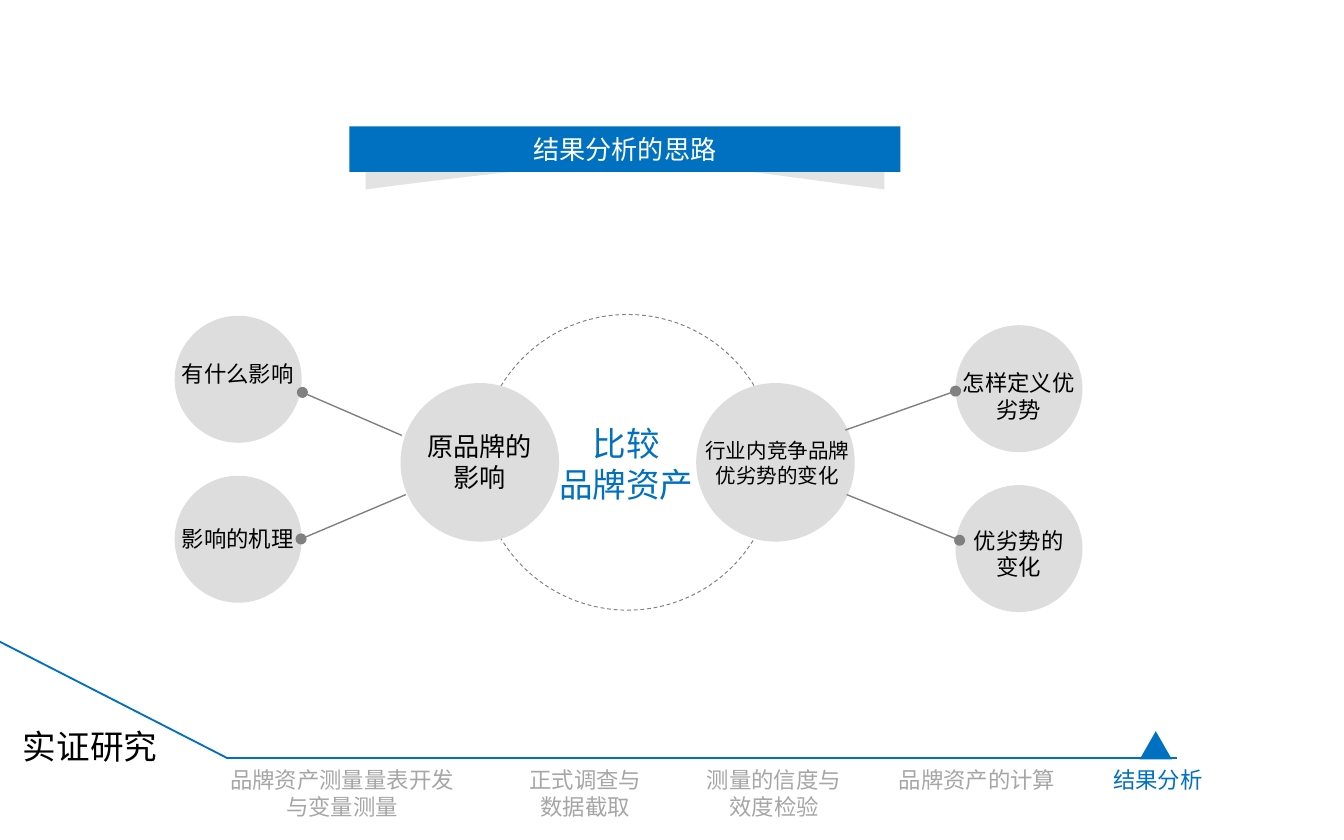
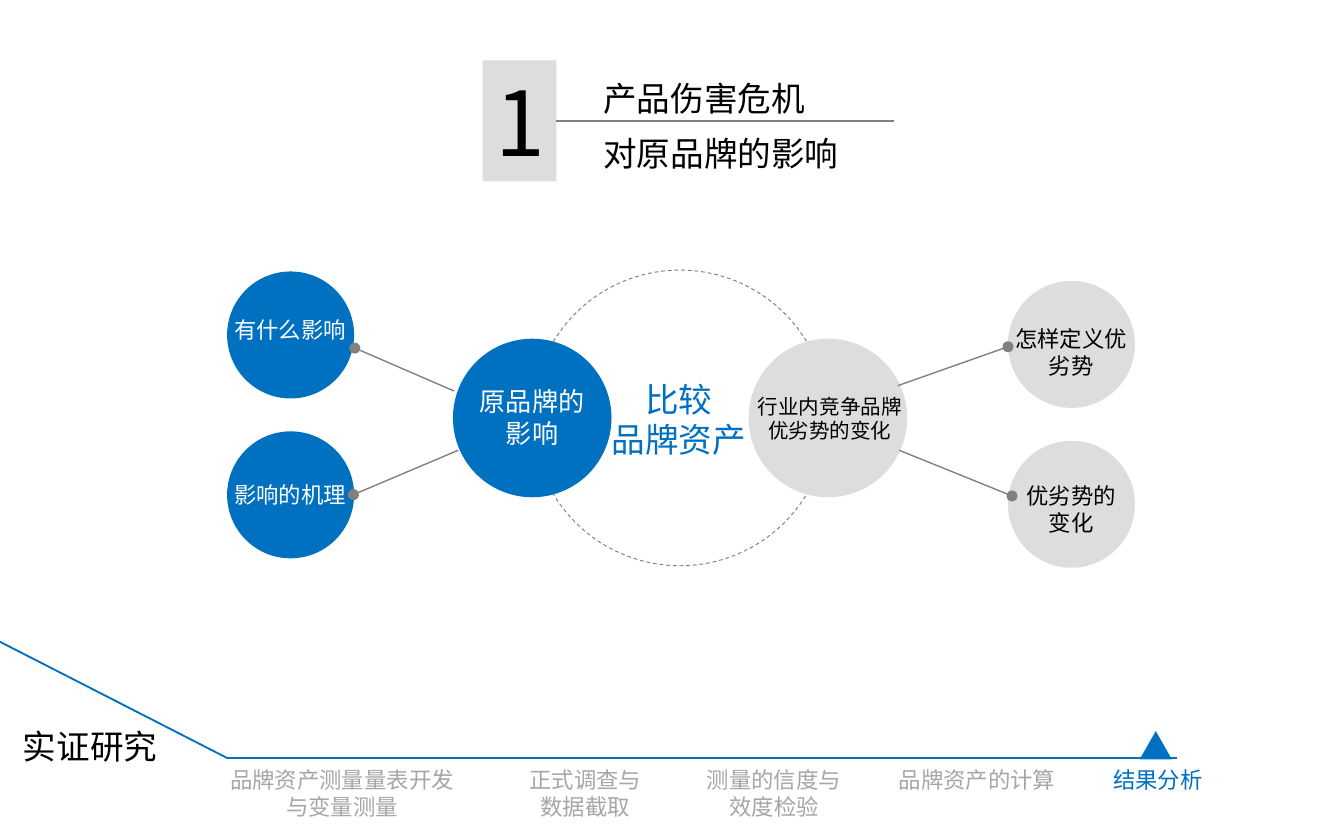
from dataclasses import dataclass

import pptx
import pptx.dml.color
import pptx.enum.dml
import pptx.enum.shapes
import pptx.enum.text
import pptx.oxml
import pptx.oxml.ns
import pptx.util
from pptx.shapes.autoshape import Shape
from pptx.shapes.connector import Connector
from pptx.slide import Slide
from pptx.util import Inches

BLUE, GRAY, PALE = "0070C0", "808080", "DDDDDD"
MUTED, BLACK, WHITE = "A6A6A6", "000000", "FFFFFF"
BODY_FONT, HEADING_FONT = "Cabin", "Noto Sans CJK SC"
SHAPES = pptx.enum.shapes.MSO_SHAPE
ALIGN = pptx.enum.text.PP_ALIGN
MIDDLE = pptx.enum.text.MSO_ANCHOR.MIDDLE
BASELINE = 5.64
SATELLITE_SIZE, HUB_SIZE = 0.945, 1.18


@dataclass(frozen=True)
class Label:
    left: float
    top: float
    width: float
    height: float
    lines: tuple[str, ...]
    size: float = 12
    color: str = BLACK
    align: ALIGN = ALIGN.CENTER


@dataclass(frozen=True)
class Node:
    left: float
    top: float
    diameter: float
    label: Label
    on_left: bool


@dataclass(frozen=True)
class Spoke:
    start: tuple[float, float]
    end: tuple[float, float]


STEPS = (
    Label(1.5, 5.65, 2.09, 0.5, ("品牌资产测量量表开发", "与变量测量"), color=MUTED),
    Label(3.72, 5.65, 1.27, 0.5, ("正式调查与", "数据截取"), color=MUTED),
    Label(5.13, 5.65, 1.26, 0.5, ("测量的信度与效度检验",), color=MUTED),
    Label(6.53, 5.65, 1.48, 0.3, ("品牌资产的计算",), color=MUTED),
    Label(8.15, 5.65, 0.93, 0.3, ("结果分析",), color=BLUE),
)
SECTION = Label(0.04, 5.35, 1.26, 0.4, ("实证研究",), 18)

SATELLITES = (
    Node(1.3, 2.35, SATELLITE_SIZE, Label(1.22, 2.63, 1.1, 0.3, ("有什么影响",)), True),
    Node(1.3, 3.54, SATELLITE_SIZE, Label(1.22, 3.86, 1.1, 0.3, ("影响的机理",)), True),
    Node(7.11, 2.42, SATELLITE_SIZE, Label(7.03, 2.7, 1.1, 0.5, ("怎样定义优劣势",)), False),
    Node(7.11, 3.61, SATELLITE_SIZE, Label(7.03, 3.87, 1.1, 0.5, ("优劣势的", "变化")), False),
)
HUBS = (
    Node(2.98, 2.85, HUB_SIZE, Label(3.02, 3.15, 1.1, 0.57, ("原品牌的影响",), 14), True),
    Node(5.18, 2.85, HUB_SIZE,
         Label(5.14, 3.21, 1.29, 0.47, ("行业内竞争品牌优劣势的变化",), 11), False),
)
CENTER = Label(4.03, 3.1, 1.26, 0.7, ("比较", "品牌资产"), 18, BLUE)
SPOKES = (
    Spoke((6.29, 3.2), (7.11, 2.91)),
    Spoke((6.3, 3.68), (7.14, 4.02)),
    Spoke((2.99, 3.24), (2.25, 2.92)),
    Spoke((3.02, 3.68), (2.24, 4.01)),
)


def rgb(color: str) -> pptx.dml.color.RGBColor:
    return pptx.dml.color.RGBColor.from_string(color)


def write(shape: Shape, lines: tuple[str, ...], size: float, color: str,
          align: ALIGN, font: str = BODY_FONT) -> None:
    frame = shape.text_frame
    frame.word_wrap = True
    for index, line in enumerate(lines):
        para = frame.add_paragraph() if index else frame.paragraphs[0]
        para.alignment = align
        span = para.add_run()
        span.text = line
        span.font.name = font
        span.font.size = pptx.util.Pt(size)
        span.font.color.rgb = rgb(color)
        east_asian = pptx.oxml.ns.qn("a:ea")
        span.font._element.find(pptx.oxml.ns.qn("a:latin")).addnext(
            span.font._element.makeelement(east_asian, {"typeface": font}))


def add_label(page: Slide, label: Label, dx: float = 0, dy: float = 0,
              color: str | None = None) -> None:
    box = page.shapes.add_textbox(Inches(label.left + dx), Inches(label.top + dy),
                                  Inches(label.width), Inches(label.height))
    write(box, label.lines, label.size, color or label.color, label.align)


def paint(shape: Shape, fill: str) -> None:
    shape.shadow.inherit = False
    shape.fill.solid()
    shape.fill.fore_color.rgb = rgb(fill)
    shape.line.fill.background()


def add_filled(page: Slide, kind: SHAPES, left: float, top: float,
               width: float, height: float, fill: str) -> Shape:
    shape = page.shapes.add_shape(kind, Inches(left), Inches(top),
                                  Inches(width), Inches(height))
    paint(shape, fill)
    return shape


def add_line(page: Slide, start: tuple[float, float], end: tuple[float, float],
             color: str, width: float) -> Connector:
    line = page.shapes.add_connector(
        pptx.enum.shapes.MSO_CONNECTOR.STRAIGHT,
        *(Inches(value) for value in (*start, *end)))
    line.line.color.rgb = rgb(color)
    line.line.width = pptx.util.Pt(width)
    properties = line._element.spPr
    properties.append(properties.makeelement(pptx.oxml.ns.qn("a:effectLst"), {}))
    return line


def add_footer(page: Slide) -> None:
    """Draw the bent timeline, its steps and the marker of the current step."""
    add_line(page, (-0.03, 4.76), (1.69, BASELINE), BLUE, 1)
    add_line(page, (1.68, BASELINE), (8.76, BASELINE), BLUE, 1)
    for label in (SECTION, *STEPS):
        add_label(page, label)
    add_filled(page, SHAPES.ISOSCELES_TRIANGLE, 8.48, 5.44, 0.24, 0.21, BLUE)


def add_node(page: Slide, node: Node, dx: float, dy: float, active_left: bool) -> None:
    active = active_left and node.on_left
    add_filled(page, SHAPES.OVAL, node.left + dx, node.top + dy,
               node.diameter, node.diameter, BLUE if active else PALE)
    add_label(page, node.label, dx, dy, WHITE if active else BLACK)


def add_diagram(page: Slide, dx: float = 0, dy: float = 0,
                active_left: bool = False) -> None:
    """Draw the comparison diagram, moved by dx and dy inches."""
    for node in SATELLITES:
        add_node(page, node, dx, dy, active_left)
    ring = page.shapes.add_shape(SHAPES.OVAL, Inches(3.57 + dx), Inches(2.34 + dy),
                                 Inches(2.2), Inches(2.2))
    ring.shadow.inherit = False
    ring.fill.background()
    ring.line.color.rgb = rgb(GRAY)
    ring.line.width = pptx.util.Pt(0.5)
    ring.line.dash_style = pptx.enum.dml.MSO_LINE.DASH
    for node in HUBS:
        add_node(page, node, dx, dy, active_left)
    add_label(page, CENTER, dx, dy)
    for spoke in SPOKES:
        (x1, y1), (x2, y2) = spoke.start, spoke.end
        line = add_line(page, (x1 + dx, y1 + dy), (x2 + dx, y2 + dy), GRAY, 0.75)
        outline = line.line._get_or_add_ln()
        outline.append(outline.makeelement(pptx.oxml.ns.qn("a:tailEnd"), {"type": "oval"}))


def curve_points(controls: tuple[tuple[float, float], ...],
                 steps: int = 32) -> list[tuple[int, int]]:
    """Sample a cubic Bezier curve, in EMU."""
    points = []
    for step in range(steps + 1):
        t = step / steps
        weights = ((1 - t) ** 3, 3 * t * (1 - t) ** 2, 3 * t ** 2 * (1 - t), t ** 3)
        x, y = (sum(weight * point[axis] for weight, point in zip(weights, controls))
                for axis in (0, 1))
        points.append((Inches(x), Inches(y)))
    return points


def add_banner(page: Slide, title: str) -> None:
    """Draw the title band above its curled paper shadow."""
    left, right, top, bottom = 2.72, 6.58, 1.11, 1.41
    builder = page.shapes.build_freeform(Inches(left), Inches(top))
    curve = curve_points(((right, bottom), (4.94, 1.2), (4.95, 1.12), (left, bottom)))
    builder.add_line_segments([(Inches(right), Inches(top)), *curve], close=True)
    curl = builder.convert_to_shape()
    paint(curl, PALE)
    tint = curl._element.spPr.find(pptx.oxml.ns.qn("a:solidFill"))[0]
    tint.append(tint.makeelement(pptx.oxml.ns.qn("a:alpha"), {"val": "80000"}))

    band = add_filled(page, SHAPES.RECTANGLE, 2.6, 0.94, 4.1, 0.34, BLUE)
    band.text_frame.vertical_anchor = MIDDLE
    write(band, (title,), 14, WHITE, ALIGN.CENTER, HEADING_FONT)


def add_numbered_title(page: Slide, number: str, upper: str, lower: str) -> None:
    badge = add_filled(page, SHAPES.RECTANGLE, 3.59, 0.45, 0.55, 0.9, PALE)
    badge.text_frame.vertical_anchor = MIDDLE
    write(badge, (number,), 48, BLACK, ALIGN.LEFT, HEADING_FONT)
    rule = add_line(page, (4.14, 0.9), (6.65, 0.9), GRAY, 0.75)
    rule.begin_connect(badge, 3)
    for top, text in ((0.53, upper), (0.94, lower)):
        add_label(page, Label(4.39, top, 2.16, 0.4, (text,), 18, align=ALIGN.LEFT))


def main() -> None:
    deck = pptx.Presentation()
    deck.slide_width, deck.slide_height = Inches(10), Inches(6.25)
    blank = deck.slide_layouts[6]

    overview = deck.slides.add_slide(blank)
    add_footer(overview)
    add_banner(overview, "结果分析的思路")
    add_diagram(overview)

    impact = deck.slides.add_slide(blank)
    add_footer(impact)
    add_diagram(impact, 0.39, -0.33, active_left=True)
    add_numbered_title(impact, "1", "产品伤害危机", "对原品牌的影响")

    deck.save("out.pptx")


if __name__ == "__main__":
    main()
